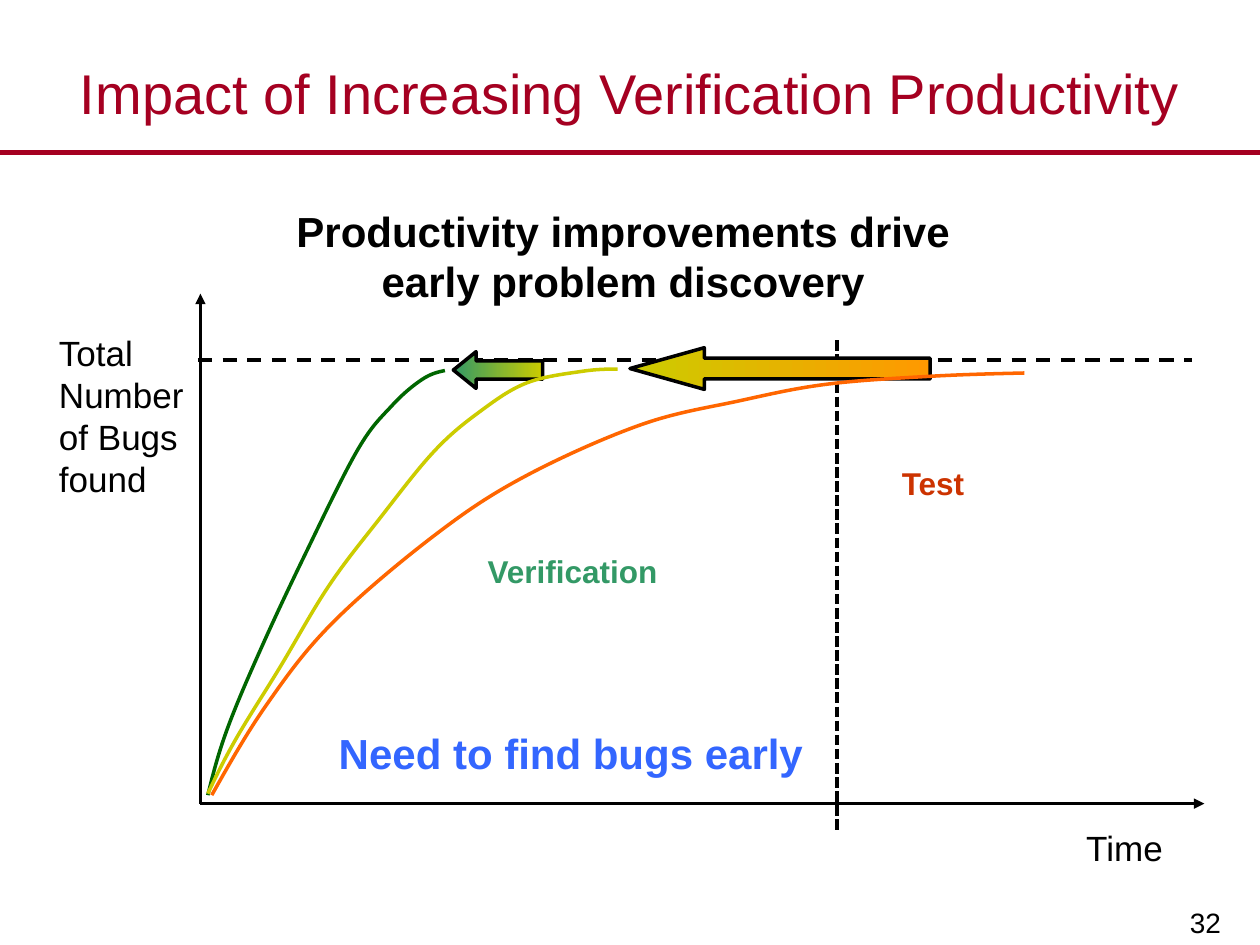
from dataclasses import dataclass

from lxml.etree import SubElement
from pptx import Presentation
from pptx.dml.color import RGBColor
from pptx.enum.dml import MSO_LINE_DASH_STYLE as Dash
from pptx.enum.shapes import MSO_CONNECTOR as Connector, MSO_SHAPE as Shape
from pptx.enum.text import MSO_ANCHOR as Anchor, MSO_AUTO_SIZE as AutoSize, PP_ALIGN as Align
from pptx.oxml.ns import qn
from pptx.util import Cm, Pt


@dataclass(frozen=True)
class Theme:
    font: str = "Arial"
    title_size: int = 32
    message_size: int = 24
    axis_size: int = 20
    label_size: int = 18
    number_size: int = 16
    line_width: int = 2
    rule_width: int = 3
    crimson: str = "A50021"
    black: str = "000000"
    red: str = "CC3300"
    sea_green: str = "339966"
    blue: str = "3366FF"
    dark_green: str = "006600"
    olive: str = "CCCC00"
    amber: str = "FF9900"
    orange: str = "FF6600"


THEME = Theme()

# Points that each bug-discovery curve passes through, in cm
CURVES = [
    (THEME.dark_green, [(4.19, 16.03), (4.57, 14.73), (5.26, 13.08), (6.15, 11.18),
                        (7.21, 9.07), (7.9, 8.18), (8.51, 7.65), (8.97, 7.47)]),
    (THEME.olive, [(4.19, 16), (4.75, 14.91), (5.64, 13.46), (6.63, 11.81), (7.65, 10.46),
                   (8.76, 9.09), (9.7, 8.28), (10.62, 7.72), (11.71, 7.49), (12.45, 7.44)]),
    (THEME.orange, [(4.27, 16.03), (5.38, 14.2), (6.71, 12.55), (8.79, 10.77), (10.59, 9.6),
                    (12.93, 8.56), (14.91, 8.08), (16.64, 7.75), (18.69, 7.59), (20.65, 7.52)]),
]


def rgb(color):
    return RGBColor.from_string(color)


def style_text(frame, lines, size, color, bold=False, align=Align.LEFT):
    frame.text = "\n".join(lines)
    for paragraph in frame.paragraphs:
        paragraph.alignment = align
        font = paragraph.font
        font.name, font.size, font.bold = THEME.font, Pt(size), bold
        font.color.rgb = rgb(color)


def style_line(line, color, width=THEME.line_width):
    line.color.rgb = rgb(color)
    line.width = Pt(width)


def add_label(slide, box, lines, size, color=THEME.black, wrap=False,
              anchor=Anchor.TOP, **text_style):
    frame = slide.shapes.add_textbox(*map(Cm, box)).text_frame
    frame.word_wrap = wrap
    frame.vertical_anchor = anchor
    style_text(frame, lines, size, color, **text_style)


def add_line(slide, start, end, color=THEME.black, width=THEME.line_width,
             dash=None, arrow=False):
    connector = slide.shapes.add_connector(Connector.STRAIGHT, *map(Cm, start + end))
    style_line(connector.line, color, width)
    if dash:
        connector.line.dash_style = dash
    properties = connector._element.spPr
    if arrow:
        SubElement(properties.find(qn("a:ln")), qn("a:tailEnd"), type="triangle")
    SubElement(properties, qn("a:effectLst"))


def add_shift_arrow(slide, box, head_ratio, colors):
    arrow = slide.shapes.add_shape(Shape.LEFT_ARROW, *map(Cm, box))
    arrow.shadow.inherit = False
    arrow.adjustments[1] = head_ratio
    arrow.fill.gradient()
    arrow.fill.gradient_angle = 0
    for stop, color, position in zip(arrow.fill.gradient_stops, colors, (0, 1)):
        stop.color.rgb = rgb(color)
        stop.position = position
    style_line(arrow.line, THEME.black)


def bezier_points(anchors):
    """Control and end points of a smooth curve through the anchors."""
    def offset(point, toward, ratio):
        return tuple(p + (b - a) * ratio for p, a, b in zip(point, *toward))

    last = len(anchors) - 1
    points = []
    for i in range(last):
        start, end = anchors[i], anchors[i + 1]
        leave = offset(start, (anchors[i - 1], end), 1 / 6) if i else None
        arrive = offset(end, (anchors[i + 2], start), 1 / 6) if i + 1 < last else None
        leave = leave or offset(start, (start, arrive), 1 / 2)
        arrive = arrive or offset(end, (end, leave), 1 / 2)
        points += [leave, arrive, end]
    return points


def add_curve(slide, color, anchors):
    builder = slide.shapes.build_freeform(*map(Cm, anchors[0]))
    builder.add_line_segments([tuple(map(Cm, p)) for p in bezier_points(anchors)], close=False)
    curve = builder.convert_to_shape()
    curve.shadow.inherit = False
    curve.fill.background()
    style_line(curve.line, color)
    # Join every three segments into one cubic curve
    outline = next(curve._element.iter(qn("a:path")))
    segments = outline.findall(qn("a:lnTo"))
    for i in range(0, len(segments), 3):
        cubic = SubElement(outline, qn("a:cubicBezTo"))
        for segment in segments[i:i + 3]:
            cubic.append(segment[0])
            outline.remove(segment)


def add_title(slide, text):
    title = slide.shapes.title
    title.left, title.top, title.width, title.height = map(Cm, (0, 0.76, 25.4, 2.18))
    frame = title.text_frame
    frame.auto_size = AutoSize.NONE
    frame.vertical_anchor = Anchor.MIDDLE
    style_text(frame, [text], THEME.title_size, THEME.crimson, align=Align.CENTER)


def main():
    prs = Presentation()
    prs.slide_width, prs.slide_height = Cm(25.4), Cm(19.05)
    slide = prs.slides.add_slide(prs.slide_layouts[5])

    # Heading and page number
    add_line(slide, (0, 3.07), (25.4, 3.07), THEME.crimson, THEME.rule_width)
    add_label(slide, (19.81, 17.6, 5.05, 1.45), ["32"], THEME.number_size,
              wrap=True, anchor=Anchor.BOTTOM, align=Align.RIGHT)
    add_title(slide, "Impact of Increasing Verification Productivity")

    # Axes
    origin = (4.04, 16.2)
    add_line(slide, origin, (4.04, 5.92), arrow=True)
    add_line(slide, origin, (24.28, 16.2), arrow=True)
    add_label(slide, (21.59, 16.54, 2.16, 1.12), ["Time"], THEME.axis_size, align=Align.CENTER)
    add_label(slide, (0.94, 6.55, 3.58, 3.68), ["Total", "Number", "of Bugs", "found"],
              THEME.axis_size, wrap=True)

    # Bug total and test start
    add_line(slide, (3.99, 7.26), (24.03, 7.26), dash=Dash.DASH)
    add_line(slide, (16.87, 6.86), (16.87, 16.74), dash=Dash.SQUARE_DOT)

    # Phases and shifts to earlier discovery
    add_label(slide, (17.93, 9.22, 1.83, 1.02), ["Test"], THEME.label_size,
              THEME.red, bold=True)
    add_label(slide, (9.58, 11, 4.14, 1.02), ["Verification"], THEME.label_size,
              THEME.sea_green, wrap=True, bold=True)
    add_shift_arrow(slide, (12.7, 7.01, 6.05, 0.84), 1.785, (THEME.olive, THEME.amber))
    add_shift_arrow(slide, (9.14, 7.09, 1.8, 0.74), 0.62, (THEME.sea_green, THEME.olive))
    for color, anchors in CURVES:
        add_curve(slide, color, anchors)

    # Messages
    add_label(slide, (5.72, 4.01, 13.69, 2.29),
              ["Productivity improvements drive", "early problem discovery"],
              THEME.message_size, bold=True, align=Align.CENTER)
    add_label(slide, (6.53, 14.55, 9.96, 1.27), ["Need to find bugs early"],
              THEME.message_size, THEME.blue, bold=True, align=Align.CENTER)

    prs.save("out.pptx")


main()
